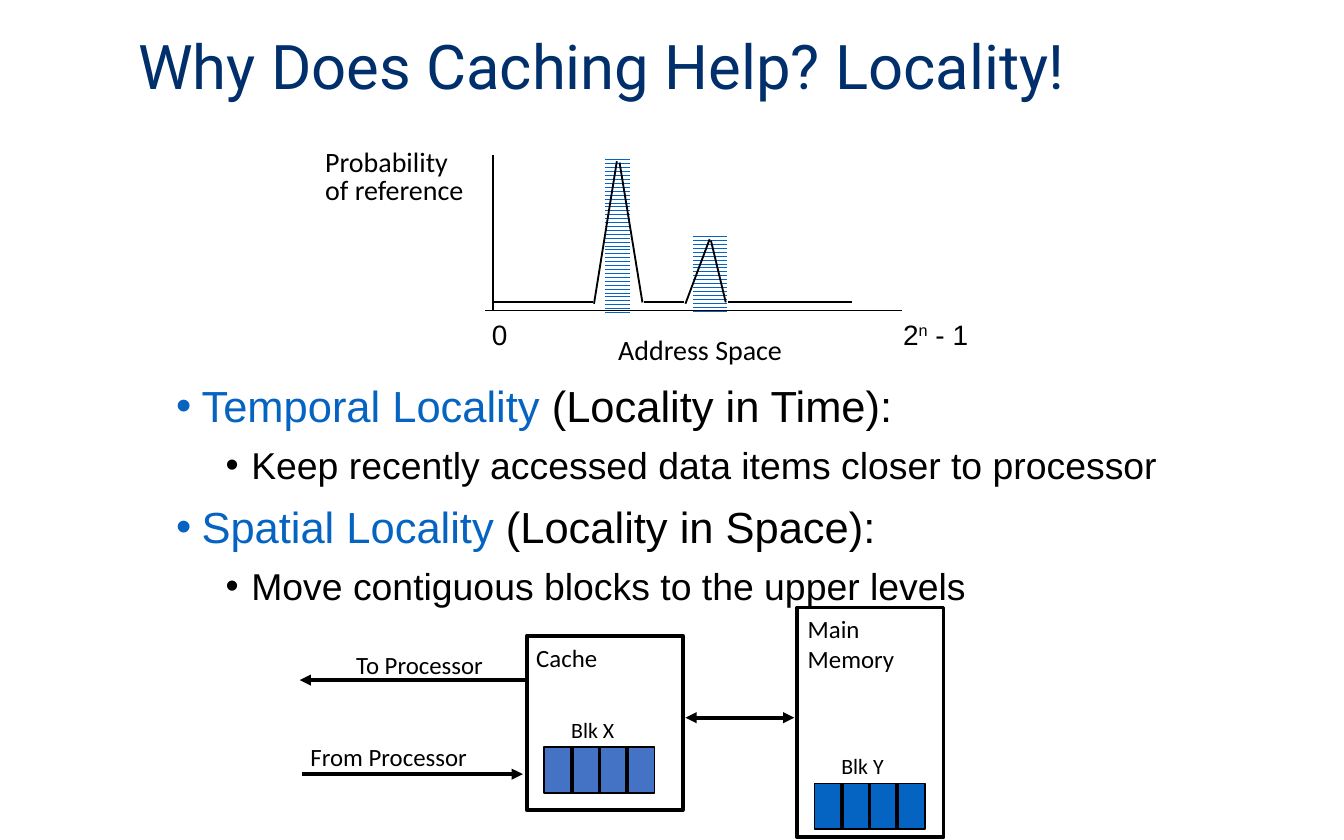
from pptx import Presentation
from pptx.dml.color import RGBColor
from pptx.enum.dml import MSO_PATTERN
from pptx.enum.shapes import MSO_CONNECTOR, MSO_SHAPE
from pptx.enum.text import MSO_ANCHOR, MSO_AUTO_SIZE, PP_ALIGN
from pptx.oxml.ns import qn
from pptx.util import Inches, Pt
from lxml.etree import SubElement

COLORS = {"navy": "002F6C", "blue": "0563C1", "cache blue": "4472C4",
          "black": "000000", "white": "FFFFFF"}
COLUMNS, ROWS = 100, 62.5
TIGHT, LOOSE = (0.06, 0.02), (0.08, 0.04)


class SlideBuilder:
    def __init__(self, presentation):
        self.column = presentation.slide_width / COLUMNS
        self.row = presentation.slide_height / ROWS
        self.slide = presentation.slides.add_slide(presentation.slide_layouts[5])

    def grid(self, *lengths):
        units = (self.column, self.row) * 2
        return [round(length * unit) for length, unit in zip(lengths, units)]

    def color(self, name):
        return RGBColor.from_string(COLORS[name])

    def frame(self, shape, margins, wrap=False):
        frame = shape.text_frame
        frame.margin_left = frame.margin_right = Inches(margins[0])
        frame.margin_top = frame.margin_bottom = Inches(margins[1])
        frame.word_wrap = wrap
        frame.auto_size = MSO_AUTO_SIZE.NONE if wrap else MSO_AUTO_SIZE.SHAPE_TO_FIT_TEXT
        return frame

    def style(self, paragraph, font, size, color="black"):
        paragraph.font.name = font
        paragraph.font.size = Pt(size)
        paragraph.font.color.rgb = self.color(color)

    def title(self, text, box):
        shape = self.slide.shapes.title
        shape.left, shape.top, shape.width, shape.height = self.grid(*box)
        frame = self.frame(shape, TIGHT, wrap=True)
        frame.vertical_anchor = MSO_ANCHOR.MIDDLE
        paragraph = frame.paragraphs[0]
        paragraph.text = text
        paragraph.alignment = PP_ALIGN.LEFT
        paragraph.line_spacing = 0.9
        self.style(paragraph, "Roboto", 33, "navy")

    def label(self, lines, box, size=13.3, font="Calibri", margins=LOOSE, spacing=1.0):
        frame = self.frame(self.slide.shapes.add_textbox(*self.grid(*box)), margins)
        for index, line in enumerate(lines):
            paragraph = frame.paragraphs[0] if index == 0 else frame.add_paragraph()
            for text, baseline in line if isinstance(line, list) else [(line, 0)]:
                run = paragraph.add_run()
                run.text = text
                if baseline:
                    run.font._element.set("baseline", str(baseline * 1000))
            paragraph.line_spacing = spacing
            self.style(paragraph, font, size)

    def plot_label(self, lines, box, font="Calibri"):
        self.label(lines, box, 15, font, TIGHT, 0.85)

    def bullets(self, items, box):
        frame = self.frame(self.slide.shapes.add_textbox(*self.grid(*box)), TIGHT, wrap=True)
        for index, (level, key, rest) in enumerate(items):
            paragraph = frame.paragraphs[0] if index == 0 else frame.add_paragraph()
            paragraph.level = level
            paragraph.space_before = Pt(0 if index == 0 else 6 if level else 7)
            properties = paragraph._p.get_or_add_pPr()
            properties.set("marL", str(Inches(0.56 if level else 0.19)))
            properties.set("indent", str(-Inches(0.19)))
            SubElement(properties, qn("a:buFont")).set("typeface", "Arial")
            SubElement(properties, qn("a:buChar")).set("char", "•")
            if key:
                run = paragraph.add_run()
                run.text = key
                run.font.color.rgb = self.color("blue")
            paragraph.add_run().text = rest
            self.style(paragraph, "Arial", 20 if level else 23.3)

    def rectangle(self, box, fill=None, line=None, pattern=None):
        shape = self.slide.shapes.add_shape(MSO_SHAPE.RECTANGLE, *self.grid(*box))
        shape.shadow.inherit = False
        if pattern:
            shape.fill.patterned()
            shape.fill.pattern = pattern
            shape.fill.fore_color.rgb = self.color(fill)
            shape.fill.back_color.rgb = self.color("white")
        elif fill:
            shape.fill.solid()
            shape.fill.fore_color.rgb = self.color(fill)
        else:
            shape.fill.background()
        if line:
            shape.line.color.rgb = self.color("black")
            shape.line.width = Pt(line)
        else:
            shape.line.fill.background()

    def line(self, start, end, width=1, arrows=()):
        connector = self.slide.shapes.add_connector(
            MSO_CONNECTOR.STRAIGHT, *self.grid(*start, *end))
        connector.line.color.rgb = self.color("black")
        connector.line.width = Pt(width)
        for arrow in arrows:
            SubElement(connector.line._get_or_add_ln(), qn(f"a:{arrow}")).set("type", "triangle")
        SubElement(connector._element.spPr, qn("a:effectLst"))

    def block(self, name, left, top, fill):
        width, height, words = 8.2, 3.4, 4
        self.rectangle((left, top, width, height), fill, line=1)
        self.label([name], (left + 1.2, top - 2.7, 5.4, 2.8), 11.7)
        for word in range(1, words):
            x = left + word * width / words
            self.line((x, top), (x, top + height - 0.1), 2)


def main():
    presentation = Presentation()
    presentation.slide_width, presentation.slide_height = Inches(10), Inches(6.25)
    builder = SlideBuilder(presentation)

    builder.title("Why Does Caching Help? Locality!", (9.7, 2.4, 74.7, 5.5))
    builder.bullets([
        (0, "Temporal Locality ", "(Locality in Time):"),
        (1, "", "Keep recently accessed data items closer to processor"),
        (0, "Spatial Locality ", "(Locality in Space):"),
        (1, "", "Move contiguous blocks to the upper levels"),
    ], (12.5, 28, 77.8, 17.7))

    for peak in [(51.6, 17.3, 2.5, 5.9), (45, 11.6, 1.9, 11.7)]:
        builder.rectangle(peak, "blue", pattern=MSO_PATTERN.ZIG_ZAG)
    axes = [((36.7, 11.5), (36.7, 23.1)), ((36.1, 23.1), (67.1, 23.1))]
    curve = [
        ((36.7, 22.5), (44.1, 22.5)),
        ((44.2, 22.6), (45.9, 12)),
        ((46.1, 12.1), (47.8, 22.5)),
        ((47.9, 22.5), (50.9, 22.5)),
        ((51, 22.6), (52.8, 17.8)),
        ((52.9, 17.9), (54, 22.5)),
        ((54.2, 22.5), (63.4, 22.5)),
    ]
    for start, end in axes + curve:
        builder.line(start, end)
    builder.plot_label(["Address Space"], (45.4, 24.9, 13.5, 2.6))
    builder.plot_label(["0"], (36, 23.8, 2.3, 2.6), "Arial")
    builder.plot_label([[("2", 0), ("n", 30), (" - 1", 0)]], (66.6, 23.8, 6.1, 2.6), "Arial")
    builder.plot_label(["Probability", "of reference"], (23.6, 10.9, 11.5, 4.8))

    builder.rectangle((39.2, 47.3, 11.6, 13), line=2)
    builder.rectangle((59.3, 45.2, 10.9, 17.1), "white", line=2)
    builder.label(["Main", "Memory"], (59.3, 45.3, 8.1, 5.3))
    builder.label(["Cache"], (39.1, 47.4, 6.5, 3.1))
    builder.label(["To Processor"], (25.7, 47.9, 11.7, 3.1))
    builder.label(["From Processor"], (22.3, 54.8, 13.8, 3.1))
    builder.line((39.2, 50.6), (22.3, 50.6), 2, ["tailEnd"])
    builder.line((22.5, 57.6), (38.9, 57.6), 2, ["tailEnd"])
    builder.line((51, 53.4), (59.1, 53.4), 2, ["headEnd", "tailEnd"])
    builder.block("Blk X", 40.5, 55.6, "cache blue")
    builder.block("Blk Y", 60.6, 58.3, "blue")

    presentation.save("out.pptx")


if __name__ == "__main__":
    main()
